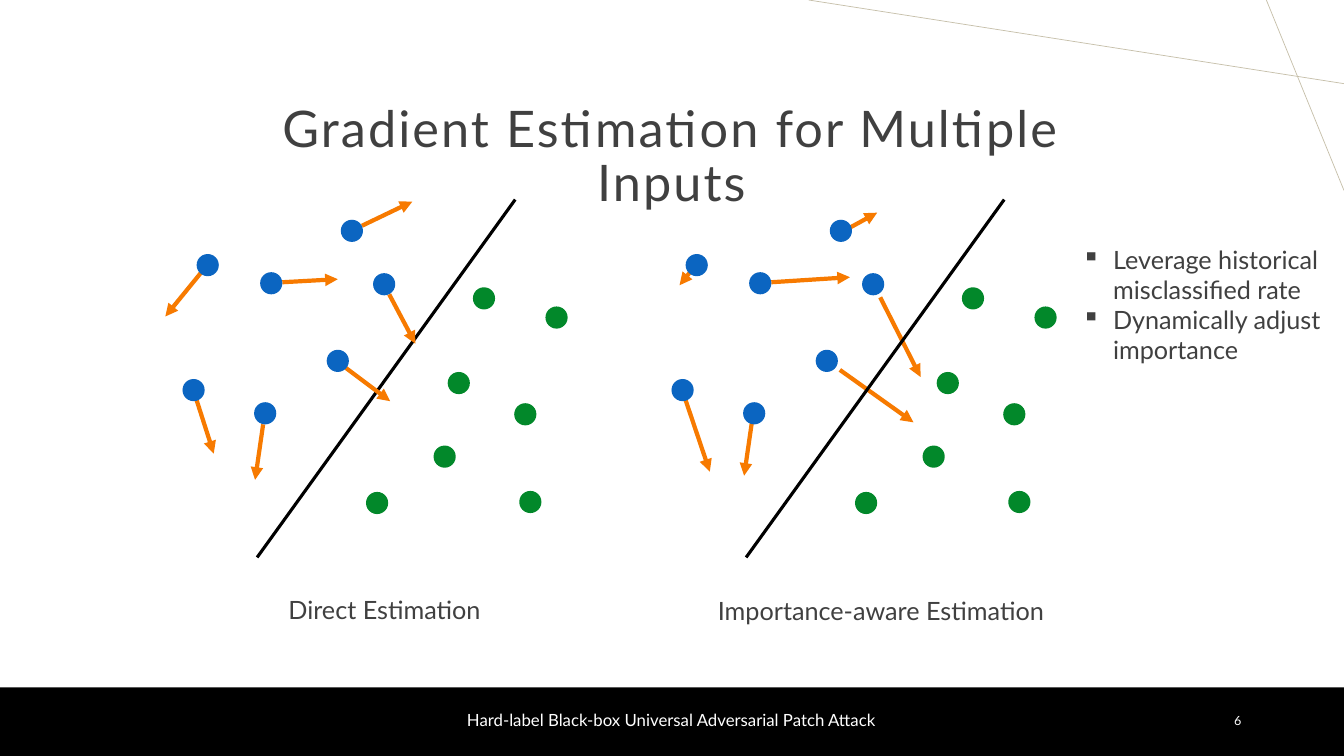
"""Build the slide on gradient estimation for multiple inputs."""
from dataclasses import dataclass

from lxml.etree import SubElement
from pptx import Presentation
from pptx.dml.color import RGBColor
from pptx.enum.shapes import MSO_CONNECTOR, MSO_SHAPE
from pptx.enum.text import MSO_ANCHOR, MSO_AUTO_SIZE, PP_ALIGN
from pptx.oxml.ns import qn
from pptx.shapes.autoshape import Shape
from pptx.shapes.connector import Connector
from pptx.slide import Slide
from pptx.text.text import _Paragraph as Paragraph
from pptx.util import Emu, Pt

EMU_PER_PX = 9144
FONT = "Lato"
BLACK = RGBColor(0x00, 0x00, 0x00)
WHITE = RGBColor(0xFF, 0xFF, 0xFF)
GREY = RGBColor(0x40, 0x40, 0x40)
TAN = RGBColor(0xC6, 0xBF, 0xA9)
ORANGE = RGBColor(0xF7, 0x7A, 0x00)
BLUE = RGBColor(0x0B, 0x65, 0xC1)
GREEN = RGBColor(0x02, 0x88, 0x2A)

DOT_SIZE = 22
BULLET_INDENT = 31
TIGHT_INSET = 6
DEFAULT_INSET = 10

Point = tuple[int, int]
Box = tuple[int, int, int, int]


@dataclass(frozen=True)
class Segment:
    start: Point
    end: Point


@dataclass(frozen=True)
class Label:
    lines: tuple[str, ...]
    box: Box
    size: int
    color: RGBColor = GREY
    alignment: PP_ALIGN = PP_ALIGN.LEFT
    inset: int = TIGHT_INSET
    wrap: bool = True
    bullet: str = ""


@dataclass(frozen=True)
class Panel:
    offset: int
    arrows: tuple[Segment, ...]
    boundary_on_top: bool


BOUNDARY = Segment((255, 553), (511, 198))
BLUE_DOTS: tuple[Point, ...] = (
    (195, 252), (181, 376), (370, 271), (324, 347), (338, 218), (252, 399), (258, 270),
)
GREEN_DOTS: tuple[Point, ...] = (
    (541, 304), (469, 285), (444, 369), (510, 400), (430, 442), (363, 488), (515, 487),
)
PANELS = (
    Panel(0, (
        Segment((359, 224), (409, 200)),
        Segment((199, 271), (164, 314)),
        Segment((343, 365), (387, 398)),
        Segment((386, 292), (412, 341)),
        Segment((280, 280), (335, 277)),
        Segment((195, 397), (212, 450)),
        Segment((261, 421), (253, 476)),
    ), boundary_on_top=False),
    Panel(485, (
        Segment((690, 263), (674, 283)),
        Segment((833, 367), (906, 419)),
        Segment((873, 295), (913, 374)),
        Segment((839, 228), (870, 211)),
        Segment((765, 280), (843, 275)),
        Segment((680, 397), (704, 468)),
        Segment((746, 417), (738, 472)),
    ), boundary_on_top=True),
)
DECORATIONS = (Segment((1333, 83), (802, 0)), Segment((1256, 0), (1333, 189)))
LABELS = (
    Label(("6",), (1182, 695, 59, 40), 9, WHITE, PP_ALIGN.RIGHT, DEFAULT_INSET),
    Label(("Hard-label Black-box Universal Adversarial Patch Attack",),
          (396, 693, 540, 43), 12, WHITE, PP_ALIGN.CENTER, DEFAULT_INSET),
    Label(("Direct Estimation",), (280, 584, 205, 42), 18, wrap=False),
    Label(("Importance-aware Estimation",), (706, 585, 339, 42), 18, wrap=False),
    Label(("Leverage historical misclassified rate", "Dynamically adjust importance"),
          (1067, 236, 255, 132), 18, bullet="▪"),
)


def px(length: int) -> Emu:
    """Turn a length in px into EMU."""
    return Emu(length * EMU_PER_PX)


def shift(point: Point, offset: int) -> Point:
    """Move a point to the right."""
    return point[0] + offset, point[1]


def add_line(slide: Slide, segment: Segment, color: RGBColor, width: float,
             arrow: bool = False, offset: int = 0) -> Connector:
    """Draw a straight line, with an arrowhead at its end if asked."""
    ends = (*shift(segment.start, offset), *shift(segment.end, offset))
    connector = slide.shapes.add_connector(MSO_CONNECTOR.STRAIGHT, *map(px, ends))
    connector.line.color.rgb = color
    connector.line.width = Pt(width)
    properties = connector._element.spPr
    if arrow:
        SubElement(properties.find(qn("a:ln")), qn("a:tailEnd"), type="triangle")
    SubElement(properties, qn("a:effectLst"))
    return connector


def add_filled(slide: Slide, kind: MSO_SHAPE, box: Box, color: RGBColor) -> Shape:
    """Draw a preset shape with a plain fill and no outline."""
    shape = slide.shapes.add_shape(kind, *map(px, box))
    shape.shadow.inherit = False
    shape.fill.solid()
    shape.fill.fore_color.rgb = color
    shape.line.fill.background()
    return shape


def add_panel(slide: Slide, panel: Panel) -> None:
    """Draw one scatter of inputs with its boundary and gradient arrows."""
    if not panel.boundary_on_top:
        add_line(slide, BOUNDARY, BLACK, 2.25, offset=panel.offset)
    for arrow in panel.arrows:
        add_line(slide, arrow, ORANGE, 3, arrow=True)
    for dots, color in ((BLUE_DOTS, BLUE), (GREEN_DOTS, GREEN)):
        for dot in dots:
            box = (*shift(dot, panel.offset), DOT_SIZE, DOT_SIZE)
            add_filled(slide, MSO_SHAPE.OVAL, box, color)
    if panel.boundary_on_top:
        add_line(slide, BOUNDARY, BLACK, 2.25, offset=panel.offset)


def format_paragraph(paragraph: Paragraph, size: int, color: RGBColor,
                     alignment: PP_ALIGN) -> None:
    """Set the font and alignment of a paragraph."""
    paragraph.alignment = alignment
    paragraph.font.name = FONT
    paragraph.font.size = Pt(size)
    paragraph.font.color.rgb = color


def add_bullet(paragraph: Paragraph, character: str) -> None:
    """Give a paragraph a hanging bullet."""
    properties = paragraph._p.get_or_add_pPr()
    properties.set("marL", str(px(BULLET_INDENT)))
    properties.set("indent", str(-px(BULLET_INDENT)))
    SubElement(properties, qn("a:buChar"), char=character)


def add_label(slide: Slide, label: Label) -> None:
    """Write a text box centred vertically."""
    frame = slide.shapes.add_textbox(*map(px, label.box)).text_frame
    frame.word_wrap = label.wrap
    frame.vertical_anchor = MSO_ANCHOR.MIDDLE
    frame.margin_left = frame.margin_right = px(label.inset)
    frame.margin_top = frame.margin_bottom = px(TIGHT_INSET)
    frame.text = "\n".join(label.lines)
    for paragraph in frame.paragraphs:
        if label.bullet:
            add_bullet(paragraph, label.bullet)
        format_paragraph(paragraph, label.size, label.color, label.alignment)


def set_title(slide: Slide) -> None:
    """Place and format the title placeholder."""
    title = slide.shapes.title
    title.left, title.top, title.width, title.height = map(px, (196, 98, 940, 67))
    frame = title.text_frame
    frame.text = "Gradient Estimation for Multiple Inputs"
    frame.word_wrap = True
    frame.auto_size = MSO_AUTO_SIZE.NONE
    frame.vertical_anchor = MSO_ANCHOR.TOP
    paragraph = frame.paragraphs[0]
    paragraph.line_spacing = 0.9
    format_paragraph(paragraph, 36, GREY, PP_ALIGN.CENTER)
    paragraph._p.pPr.find(qn("a:defRPr")).set("spc", "150")


def main() -> None:
    """Build and save the presentation."""
    presentation = Presentation()
    presentation.slide_width, presentation.slide_height = px(1333), px(750)
    slide = presentation.slides.add_slide(presentation.slide_layouts[5])
    set_title(slide)
    for decoration in DECORATIONS:
        add_line(slide, decoration, TAN, 0.5)
    add_filled(slide, MSO_SHAPE.RECTANGLE, (0, 682, 1333, 68), BLACK)
    for panel in PANELS:
        add_panel(slide, panel)
    for label in LABELS:
        add_label(slide, label)
    presentation.save("out.pptx")


if __name__ == "__main__":
    main()
